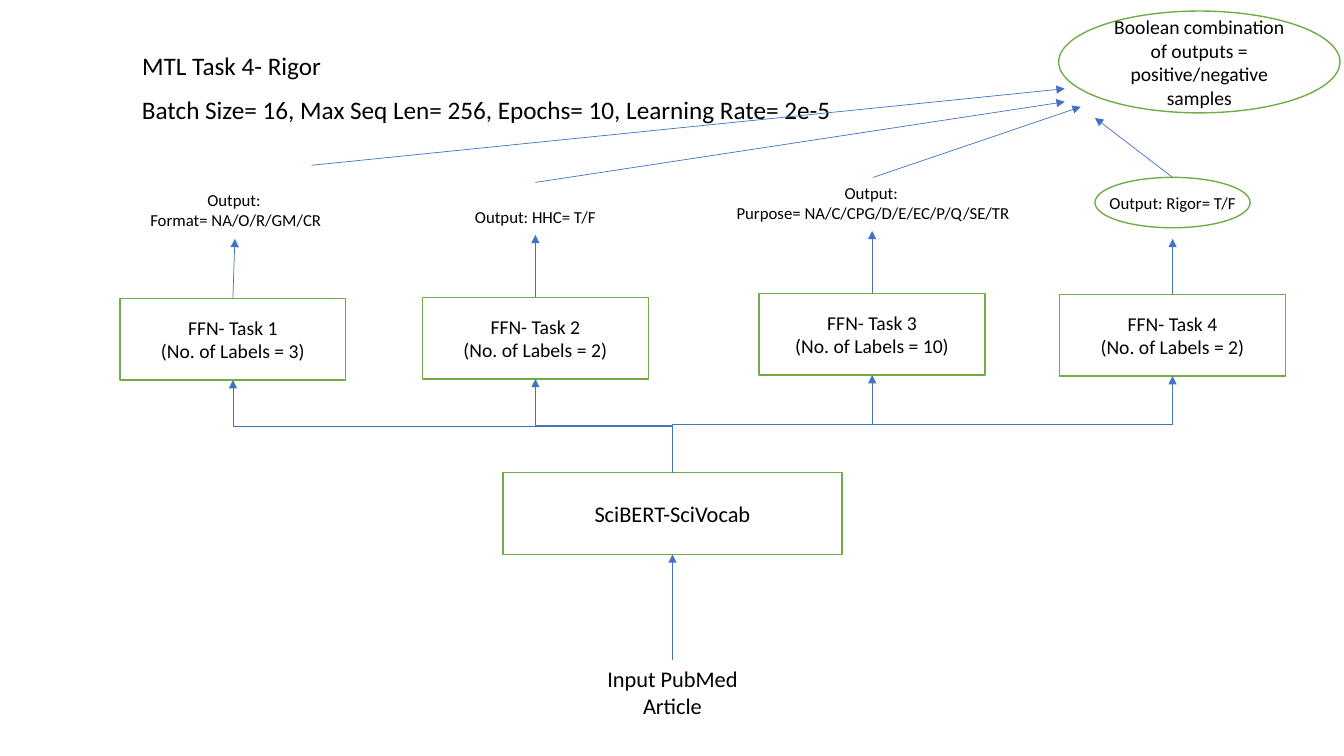
from lxml.etree import SubElement
from pptx import Presentation
from pptx.dml.color import RGBColor
from pptx.enum.shapes import MSO_CONNECTOR, MSO_SHAPE
from pptx.enum.text import MSO_ANCHOR, MSO_AUTO_SIZE, PP_ALIGN
from pptx.oxml.ns import qn
from pptx.util import Inches, Pt

COLORS = {"text": "000000", "fill": "FFFFFF", "border": "70AD47", "arrow": "4472C4"}
FONT = "Calibri"
TOP, BOTTOM = 0, 2

TASKS = [
    (1, 3, 1.19, 2.96, "Output: \nFormat= NA/O/R/GM/CR", (0.91, 1.83, 2.86, 0.5), (2.33, 2.37)),
    (2, 2, 4.19, 2.95, "Output: HHC= T/F", (4.24, 2, 2.14, 0.3), (5.31, 2.33)),
    (3, 10, 7.53, 2.91, "Output: \nPurpose= NA/C/CPG/D/E/EC/P/Q/SE/TR",
     (7.02, 1.76, 3.28, 0.5), (8.65, 2.29)),
    (4, 2, 10.51, 2.92, "Output: Rigor= T/F", (10.56, 1.86, 2.14, 0.3), (11.63, 2.37)),
]
COMBINATION_ARROWS = [
    ((3.09, 1.64), (10.56, 0.88)),
    ((5.31, 1.81), (10.56, 1.01)),
    ((8.66, 1.76), (10.72, 1.06)),
    ((11.63, 1.76), (10.86, 1.17)),
]


def color(name):
    """Return the named colour."""
    return RGBColor.from_string(COLORS[name])


def write_text(shape, text, size, alignment=PP_ALIGN.CENTER, anchor=MSO_ANCHOR.MIDDLE):
    """Fill a shape with formatted text."""
    frame = shape.text_frame
    frame.text = text
    frame.word_wrap = True
    frame.auto_size = MSO_AUTO_SIZE.NONE
    frame.vertical_anchor = anchor
    for paragraph in frame.paragraphs:
        paragraph.alignment = alignment
        for run in paragraph.runs:
            run.font.name = FONT
            run.font.size = Pt(size)
            run.font.color.rgb = color("text")


def add_label(slide, box, text, size, alignment=PP_ALIGN.CENTER):
    """Add a text box without a border."""
    label = slide.shapes.add_textbox(*map(Inches, box))
    write_text(label, text, size, alignment, MSO_ANCHOR.TOP)
    return label


def add_node(slide, kind, box, text="", size=14):
    """Add a white shape with a green border."""
    node = slide.shapes.add_shape(kind, *map(Inches, box))
    node.shadow.inherit = False
    node.fill.solid()
    node.fill.fore_color.rgb = color("fill")
    node.line.color.rgb = color("border")
    node.line.width = Pt(1)
    if text:
        write_text(node, text, size)
    return node


def add_arrow(slide, start, end, kind=MSO_CONNECTOR.STRAIGHT):
    """Add a thin connector with an arrowhead at its end."""
    arrow = slide.shapes.add_connector(kind, *map(Inches, (*start, *end)))
    arrow.line.color.rgb = color("arrow")
    arrow.line.width = Pt(0.5)
    SubElement(arrow.line._get_or_add_ln(), qn("a:tailEnd"), type="triangle")
    SubElement(arrow._element.spPr, qn("a:effectLst"))
    return arrow


def add_branch(slide, source, target):
    """Join the top of source to the bottom of target by a vertical-first elbow."""
    arrow = add_arrow(slide, (0, 0), (1, 1), MSO_CONNECTOR.ELBOW)
    arrow.begin_connect(source, TOP)
    arrow.end_connect(target, BOTTOM)
    goes_left = arrow.end_x < arrow.begin_x
    center_x = arrow.left + arrow.width // 2
    center_y = arrow.top + arrow.height // 2
    arrow.width, arrow.height = arrow.height, arrow.width
    arrow.left = center_x - arrow.width // 2
    arrow.top = center_y - arrow.height // 2
    transform = arrow._element.spPr.find(qn("a:xfrm"))
    transform.set("rot", str(270 * 60000))
    transform.set("flipH", "0")
    transform.set("flipV", str(int(goes_left)))


def add_title(slide, box, text):
    """Place the slide title."""
    title = slide.shapes.title
    title.left, title.top, title.width, title.height = map(Inches, box)
    write_text(title, text, 18, PP_ALIGN.LEFT, MSO_ANCHOR.TOP)


def main():
    """Build the multi-task learning diagram."""
    presentation = Presentation()
    presentation.slide_width = Inches(13.33)
    presentation.slide_height = Inches(7.5)
    slide = presentation.slides.add_slide(presentation.slide_layouts[5])

    add_title(slide, (1.31, 0.45, 2.36, 0.4), "MTL Task 4- Rigor")
    add_label(slide, (1.31, 0.89, 9.76, 0.4),
              "Batch Size= 16, Max Seq Len= 256, Epochs= 10, Learning Rate= 2e-5",
              18, PP_ALIGN.LEFT)
    add_node(slide, MSO_SHAPE.OVAL, (10.5, 0.11, 2.79, 1.01),
             "Boolean combination of outputs = positive/negative samples")
    rigor = add_node(slide, MSO_SHAPE.OVAL, (10.86, 1.76, 1.54, 0.5))

    encoder = add_node(slide, MSO_SHAPE.RECTANGLE, (4.99, 4.69, 3.36, 0.81),
                       "SciBERT-SciVocab", 16)
    article = add_label(slide, (5.65, 6.55, 2.04, 0.64), "Input PubMed Article", 16)
    input_arrow = add_arrow(slide, (6.67, 6.55), (6.67, 5.5))
    input_arrow.begin_connect(article, TOP)
    input_arrow.end_connect(encoder, BOTTOM)

    outputs = []
    for task, labels, left, top, output, output_box, tip in TASKS:
        network = add_node(slide, MSO_SHAPE.RECTANGLE, (left, top, 2.24, 0.81),
                           f"FFN- Task {task}\n(No. of Labels = {labels})")
        outputs.append(add_label(slide, output_box, output, 12))
        add_arrow(slide, (left + 1.12, top), tip).begin_connect(network, TOP)
        add_branch(slide, encoder, network)

    arrows = [add_arrow(slide, start, end) for start, end in COMBINATION_ARROWS]
    arrows[2].begin_connect(outputs[2], TOP)
    arrows[3].begin_connect(rigor, TOP)
    presentation.save("out.pptx")


if __name__ == "__main__":
    main()
